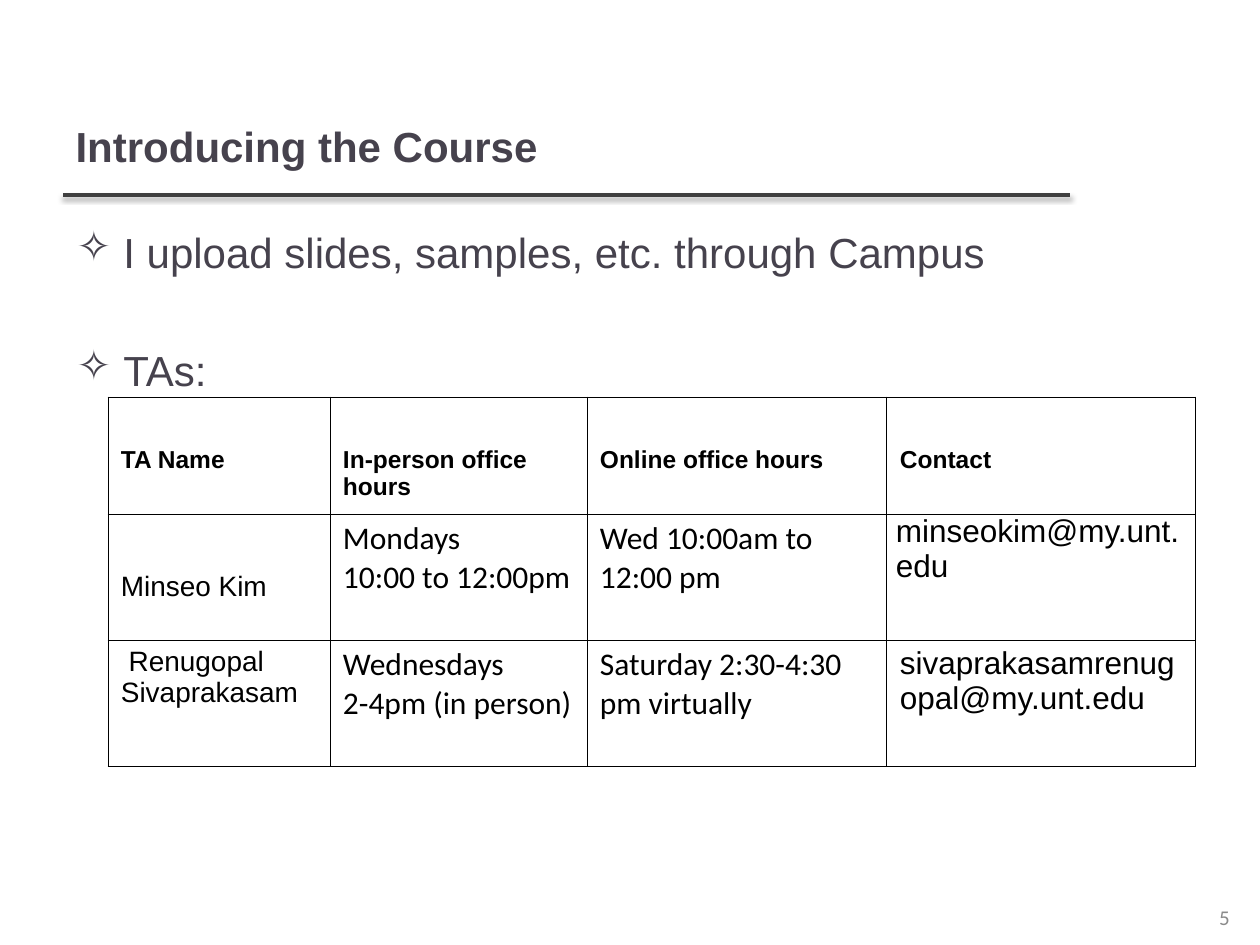
import lxml.etree
import pptx
import pptx.dml.color
import pptx.enum.shapes
import pptx.enum.text
import pptx.oxml.ns
import pptx.util

COLORS = {
    "heading": "46424D",
    "rule": "404040",
    "number": "8B8B8B",
    "ink": "000000",
}
EMU_PER_PX = 914400 / 126
ANCHOR = pptx.enum.text.MSO_ANCHOR
ALIGN = pptx.enum.text.PP_ALIGN


def px(length):
    return pptx.util.Emu(round(length * EMU_PER_PX))


def rgb(name):
    return pptx.dml.color.RGBColor.from_string(COLORS[name])


def add_element(parent, tag, **attributes):
    element = lxml.etree.SubElement(parent, pptx.oxml.ns.qn(tag))
    for key, value in attributes.items():
        element.set(key, str(value))
    return element


class CourseSlide:
    def __init__(self, presentation):
        self.slide = presentation.slides.add_slide(presentation.slide_layouts[5])

    def style(self, paragraph, size, color, face="Arial", bold=False):
        font = paragraph.font
        font.name = face
        font.size = pptx.util.Pt(size)
        font.bold = bold
        font.color.rgb = rgb(color)

    def rule(self, left, top, right):
        rule = self.slide.shapes.add_connector(
            pptx.enum.shapes.MSO_CONNECTOR.STRAIGHT,
            px(left), px(top), px(right), px(top))
        rule.line.color.rgb = rgb("rule")
        rule.line.width = pptx.util.Pt(2)
        effects = add_element(rule._element.spPr, "a:effectLst")
        shadow = add_element(effects, "a:outerShdw", blurRad=40000, dist=20000,
                             dir=5400000, rotWithShape=0)
        shade = add_element(shadow, "a:srgbClr", val=COLORS["ink"])
        add_element(shade, "a:alpha", val=38000)

    def title(self, text, left, top, width, height):
        title = self.slide.shapes.title
        title.left, title.top = px(left), px(top)
        title.width, title.height = px(width), px(height)
        frame = title.text_frame
        frame.text = text
        frame.vertical_anchor = ANCHOR.MIDDLE
        frame.paragraphs[0].alignment = ALIGN.LEFT
        self.style(frame.paragraphs[0], 24, "heading", bold=True)

    def text_box(self, text, left, top, width, height):
        box = self.slide.shapes.add_textbox(px(left), px(top), px(width), px(height))
        box.text_frame.word_wrap = True
        box.text_frame.text = text
        return box.text_frame

    def bullets(self, points, left, top, width, height):
        frame = self.text_box("\n".join(points), left, top, width, height)
        for index, point in enumerate(frame.paragraphs):
            properties = point._p.get_or_add_pPr()
            properties.set("marL", str(px(48)))
            properties.set("indent", str(-px(47)))
            bullet_color = add_element(properties, "a:buClr")
            add_element(bullet_color, "a:srgbClr", val=COLORS["heading"])
            add_element(properties, "a:buChar", char="✧")
            if index:
                point.space_before = pptx.util.Pt(33)
            point.space_after = pptx.util.Pt(6)
            self.style(point, 24, "heading")

    def page_number(self, number, left, top, width, height):
        frame = self.text_box(number, left, top, width, height)
        frame.vertical_anchor = ANCHOR.MIDDLE
        frame.paragraphs[0].alignment = ALIGN.RIGHT
        self.style(frame.paragraphs[0], 12, "number", "Calibri")

    def table(self, left, top, widths, heights):
        table = self.slide.shapes.add_table(
            len(heights), len(widths), px(left), px(top),
            px(sum(widths)), px(sum(heights))).table
        for column, width in zip(table.columns, widths):
            column.width = px(width)
        for row, height in zip(table.rows, heights):
            row.height = px(height)
        return table

    def cell(self, cell, text, size, face="Arial", bold=False, top=6, side=13):
        cell.margin_top = px(top)
        cell.margin_left = cell.margin_right = px(side)
        cell.text_frame.text = text
        for paragraph in cell.text_frame.paragraphs:
            self.style(paragraph, size, "ink", face, bold)
        properties = cell._tc.get_or_add_tcPr()
        for edge in ("a:lnL", "a:lnR", "a:lnT", "a:lnB"):
            border = add_element(properties, edge, w=7620)
            fill = add_element(border, "a:solidFill")
            add_element(fill, "a:srgbClr", val=COLORS["ink"])
        cell.fill.background()


def main():
    presentation = pptx.Presentation()
    presentation.slide_width, presentation.slide_height = px(1260), px(945)
    course = CourseSlide(presentation)
    course.rule(63, 195, 1070)
    course.title("Introducing the Course", 63, 96, 1006, 99)
    course.bullets(["I upload slides, samples, etc. through Campus", "TAs:"],
                   63, 220, 1134, 624)
    course.page_number("5", 949, 892, 293, 50)

    headings = ["TA Name", "In-person office hours", "Online office hours", "Contact"]
    assistants = [
        ["Minseo Kim", "Mondays\n10:00 to 12:00pm",
         "Wed 10:00am to\v12:00 pm", "minseokim@my.unt.edu"],
        [" Renugopal Sivaprakasam", "Wednesdays \v2-4pm (in person)",
         "Saturday 2:30-4:30 pm virtually", "sivaprakasamrenugopal@my.unt.edu"],
    ]
    name_tops = [57, 6]
    contact_margins = [(0, 9), (6, 13)]

    table = course.table(108, 397, [222, 257, 300, 309], [117, 126, 126])
    for column, heading in enumerate(headings):
        course.cell(table.cell(0, column), heading, 14, bold=True, top=49)
    for index, (name, in_person, online, contact) in enumerate(assistants):
        row = index + 1
        top, side = contact_margins[index]
        course.cell(table.cell(row, 0), name, 16, top=name_tops[index])
        course.cell(table.cell(row, 1), in_person, 18, "Calibri")
        course.cell(table.cell(row, 2), online, 18, "Calibri")
        course.cell(table.cell(row, 3), contact, 18, top=top, side=side)

    presentation.save("out.pptx")


if __name__ == "__main__":
    main()
